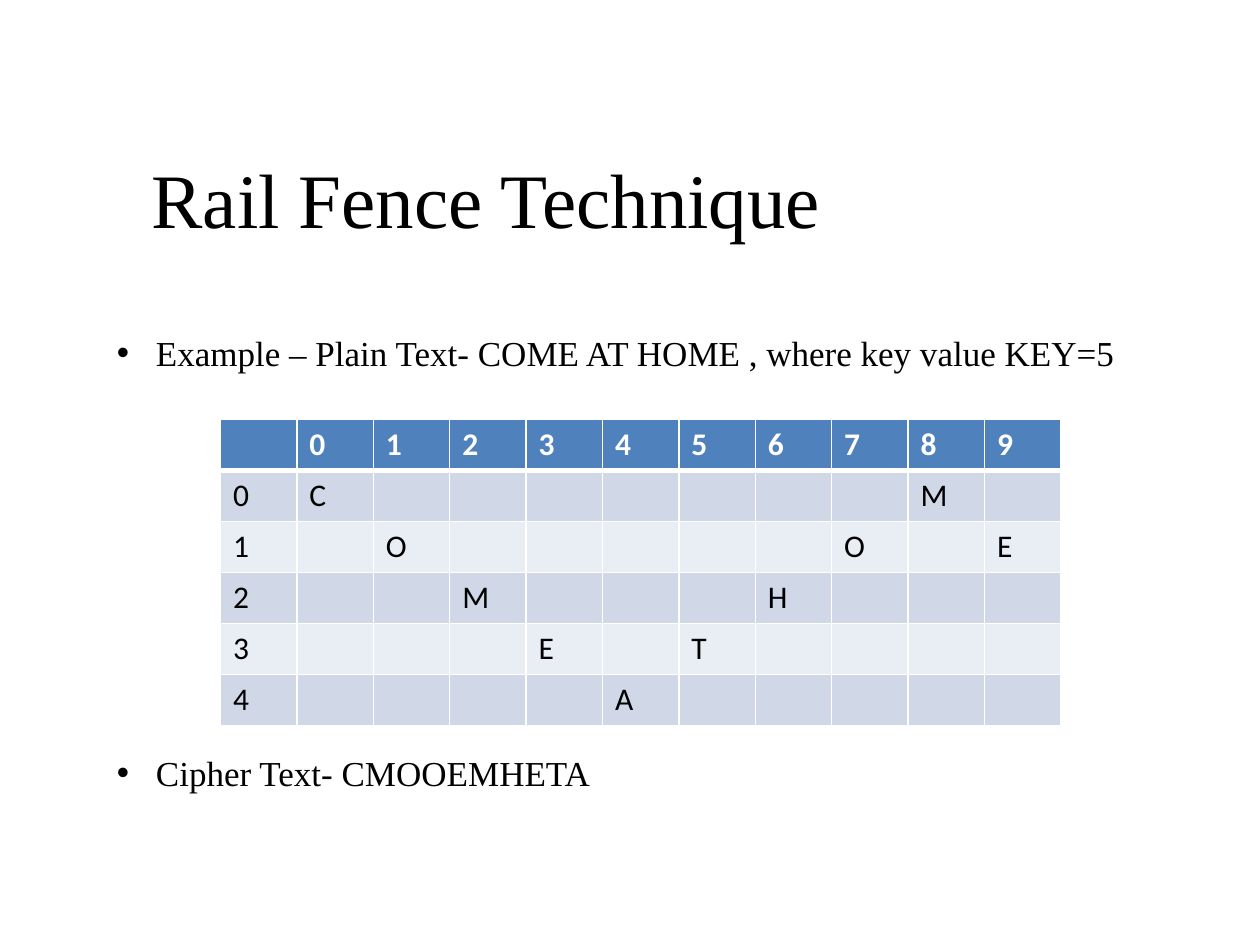
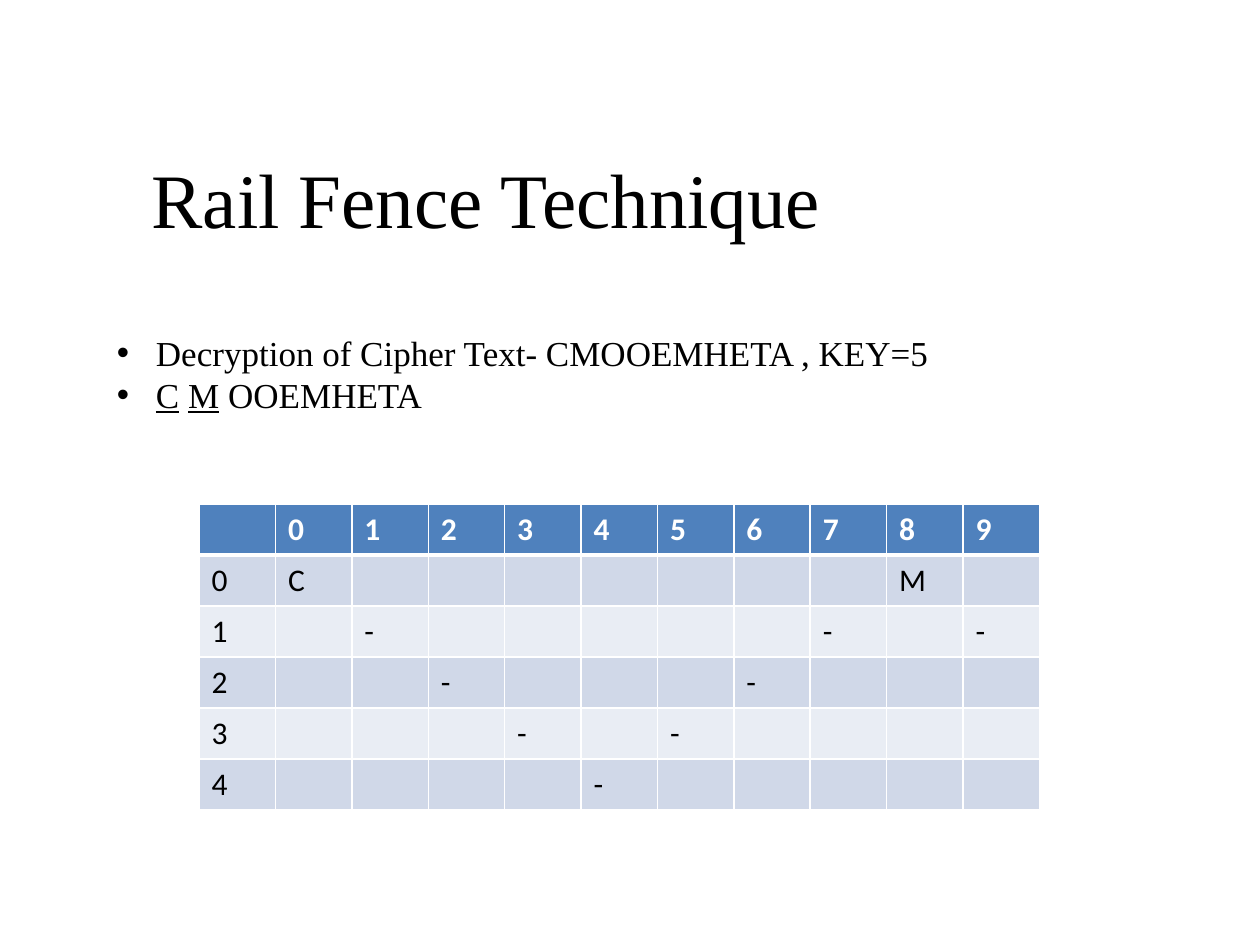
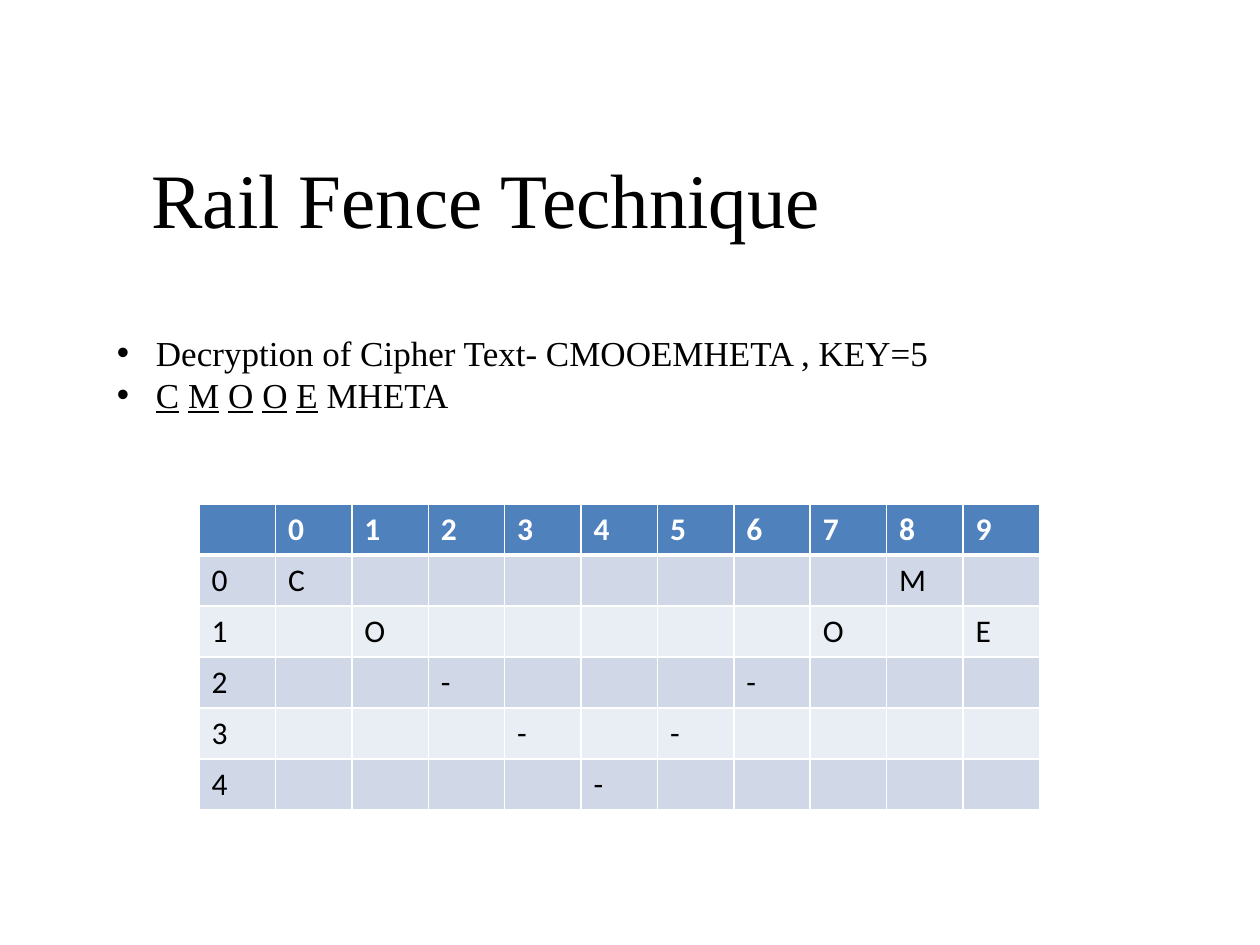
from lxml import etree
from pptx import Presentation
from pptx.dml.color import RGBColor
from pptx.enum.text import MSO_ANCHOR, PP_ALIGN
from pptx.oxml.ns import qn
from pptx.util import Inches, Pt

CENTER, JUSTIFY = PP_ALIGN.CENTER, PP_ALIGN.JUSTIFY
MIDDLE = MSO_ANCHOR.MIDDLE

BLACK, WHITE = "000000", "FFFFFF"
HEAD, BANDS = "4F81BD", ("D0D8E8", "E9EDF4")
SERIF, SANS = "Times New Roman", "Calibri"

PLAIN = "COMEATHOME"
KEY = 5


def rail(col):
    """Return the rail on which the zigzag puts the letter of this column."""
    turn = KEY - 1
    return turn - abs(turn - col % (2 * turn))


CIPHER = "".join(PLAIN[i] for i in sorted(range(len(PLAIN)), key=rail))


def color(code):
    return RGBColor.from_string(code)


def fence(known):
    """Return the table rows, with a dash for letters past the known rails."""
    rows = [["", *map(str, range(len(PLAIN)))]]
    for row in range(KEY):
        mark = [char if row < known else "-" for char in PLAIN]
        rows.append([str(row)] + [mark[i] if rail(i) == row else ""
                                  for i in range(len(PLAIN))])
    return rows


def solved(count):
    """Return runs of cipher text with the first letters set apart and underlined."""
    runs = []
    for char in CIPHER[:count]:
        runs += [(char, True), (" ", False)]
    return runs[:-1] + [(" " + CIPHER[count:], False)]


class Deck:
    def __init__(self):
        self.prs = Presentation()
        self.prs.slide_width, self.prs.slide_height = Inches(10), Inches(7.5)
        self.slide = None

    def page(self, title):
        self.slide = self.prs.slides.add_slide(self.prs.slide_layouts[6])
        self.title(title)

    def font(self, para, name, size, tint=BLACK, bold=False):
        font = para.font
        font.name, font.size, font.bold = name, Pt(size), bold
        font.color.rgb = color(tint)

    def frame(self, left, top, width, height):
        box = self.slide.shapes.add_textbox(
            Inches(left), Inches(top), Inches(width), Inches(height))
        box.text_frame.word_wrap = True
        return box.text_frame

    def title(self, text):
        frame = self.frame(1, 1.25, 5.72, 0.63)
        frame.margin_left = frame.margin_right = frame.margin_bottom = 0
        frame.margin_top = Inches(0.01)
        frame.vertical_anchor = MIDDLE
        para = frame.paragraphs[0]
        para.text, para.alignment = text, CENTER
        self.font(para, SERIF, 44)

    def bullets(self, items, height, gap=0):
        """Add bulleted items, each a list of (text, underlined) runs."""
        frame = self.frame(0.83, 2.58, 8.83, height)
        for i, runs in enumerate(items):
            para = frame.add_paragraph() if i else frame.paragraphs[0]
            para.alignment, para.line_spacing = JUSTIFY, Pt(24)
            if i:
                para.space_before = Pt(gap)
            props = para._p.get_or_add_pPr()
            props.set("marL", str(Inches(0.31)))
            props.set("indent", str(-Inches(0.31)))
            etree.SubElement(props, qn("a:buFont"), typeface="Arial")
            etree.SubElement(props, qn("a:buChar"), char="•")
            self.font(para, SERIF, 20)
            for text, under in runs:
                run = para.add_run()
                run.text = text
                if under:
                    run.font.underline = True

    def border(self, cell, side, width):
        line = etree.SubElement(cell._tc.get_or_add_tcPr(), qn("a:ln" + side),
                                w=str(Pt(width)))
        fill = etree.SubElement(line, qn("a:solidFill"))
        etree.SubElement(fill, qn("a:srgbClr"), val=WHITE)

    def table(self, left, top, rows):
        grid = self.slide.shapes.add_table(
            len(rows), len(rows[0]), Inches(left), Inches(top),
            Inches(6.67), Inches(2.43)).table
        for r, row in enumerate(rows):
            for c, text in enumerate(row):
                cell = grid.cell(r, c)
                for side in "LRTB":
                    thick = (r, side) in ((0, "B"), (1, "T"))
                    self.border(cell, side, 3 if thick else 1)
                cell.fill.solid()
                cell.fill.fore_color.rgb = color(BANDS[(r - 1) % 2] if r else HEAD)
                cell.text = text
                self.font(cell.text_frame.paragraphs[0], SANS, 18,
                          BLACK if r else WHITE, not r)


def main():
    deck = Deck()
    title = "Rail Fence Technique"

    deck.page(title)
    deck.bullets([
        [(f"Example – Plain Text- COME AT HOME , where key value KEY={KEY}", False)],
        [(f"Cipher Text- {CIPHER}", False)],
    ], height=4.14, gap=216)
    deck.table(1.75, 3.33, fence(KEY))

    for known, count in ((1, 2), (2, 5)):
        deck.page(title)
        deck.bullets([
            [(f"Decryption of Cipher Text- {CIPHER} , KEY={KEY}", False)],
            solved(count),
        ], height=0.77)
        deck.table(1.58, 4, fence(known))

    deck.prs.save("out.pptx")


if __name__ == "__main__":
    main()
